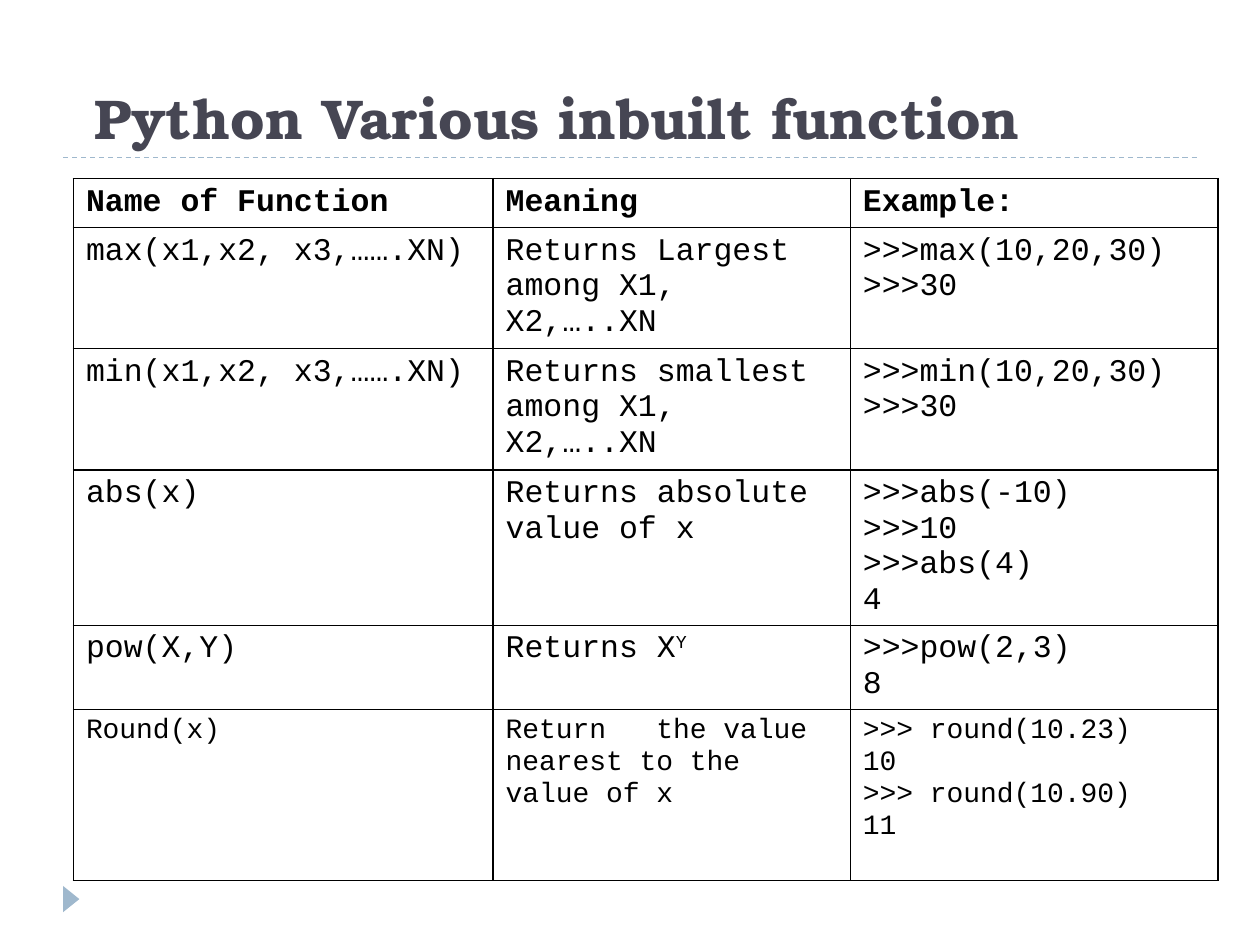
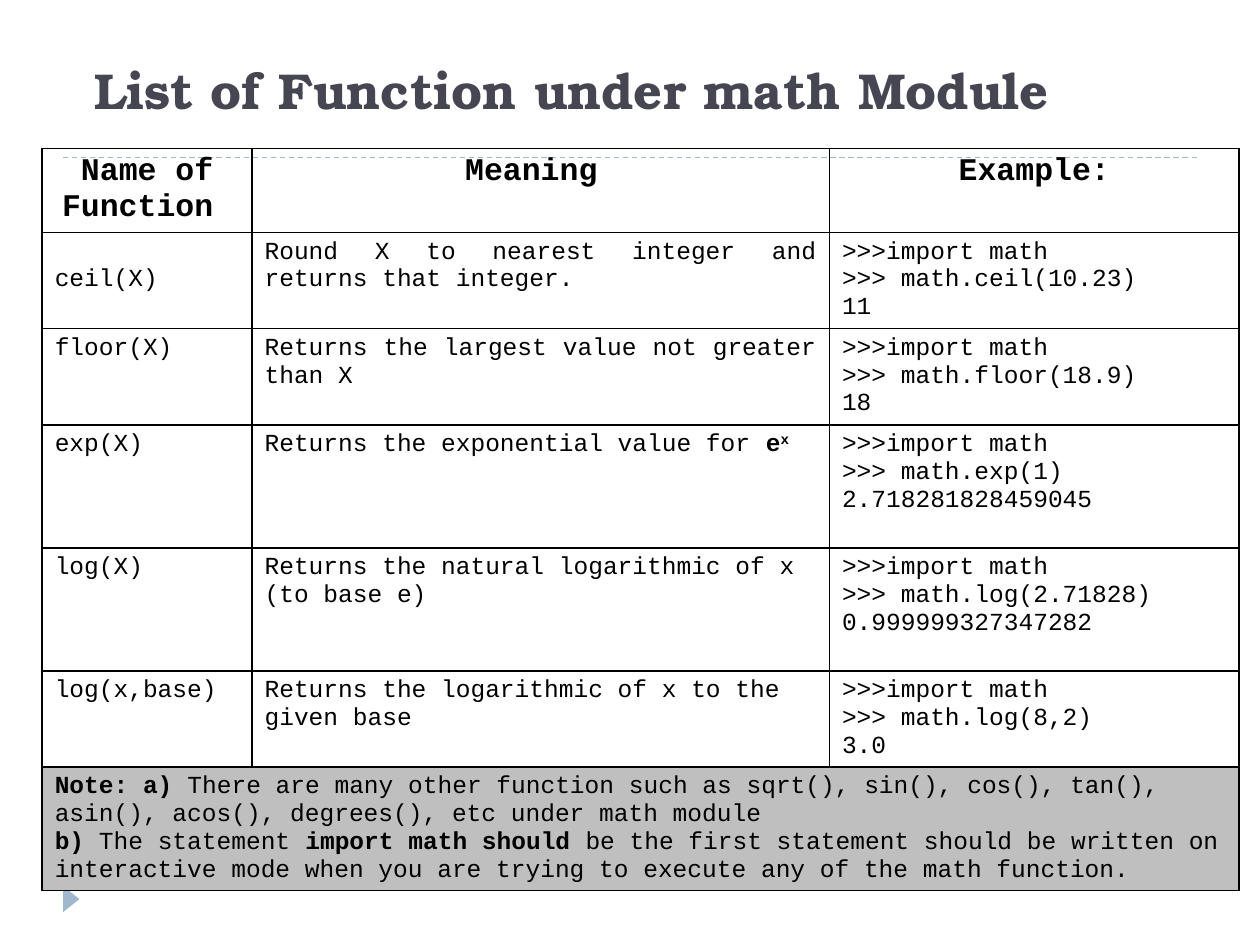
from lxml import etree
from pptx import Presentation
from pptx.dml.color import RGBColor
from pptx.enum.dml import MSO_LINE
from pptx.enum.shapes import MSO_CONNECTOR, MSO_SHAPE
from pptx.enum.text import MSO_ANCHOR, MSO_AUTO_SIZE, PP_ALIGN
from pptx.oxml.ns import qn
from pptx.util import Cm, Pt

STRAIGHT = MSO_CONNECTOR.STRAIGHT
TRIANGLE = MSO_SHAPE.ISOSCELES_TRIANGLE
DASH = MSO_LINE.DASH
BOTTOM = MSO_ANCHOR.BOTTOM
NO_AUTOFIT = MSO_AUTO_SIZE.NONE
LEFT, CENTER, JUSTIFY = PP_ALIGN.LEFT, PP_ALIGN.CENTER, PP_ALIGN.JUSTIFY

TITLE_FONT, TABLE_FONT = "TeX Gyre Bonum", "Courier New"
TITLE_COLOR, ACCENT = "464653", "9FB8CD"
BLACK, NOTE_GREY = "000000", "BFBFBF"


def rgb(value):
    return RGBColor.from_string(value)


def write_cell(cell, text, size, alignment):
    """One paragraph per line; *stars* enclose bold, ^ starts a superscript."""
    frame = cell.text_frame
    for number, line in enumerate(text.split("\n")):
        para = frame.add_paragraph() if number else frame.paragraphs[0]
        para.alignment = alignment
        for index, piece in enumerate(line.split("*")):
            for raised, words in enumerate(piece.split("^")):
                if not words:
                    continue
                span = para.add_run()
                span.text = words
                span.font.name = TABLE_FONT
                span.font.size = Pt(size)
                span.font.bold = index % 2 == 1
                span.font.color.rgb = rgb(BLACK)
                if raised:
                    span.font._element.set("baseline", "30000")


# Content: sizes, alignments and row heights are listed per table row
pages = [
    {
        "title": "Python Various inbuilt function",
        "title_size": 32,
        "title_place": (1.27, 0.43, 22.86, 2.74),
        "table_corner": (1.48, 3.6),
        "columns": [8.46, 7.2, 7.41],
        "heights": [0.99, 2.44, 2.44, 3.13, 1.69, 3.45],
        "sizes": [18, 18, 18, 18, 18, 16],
        "alignments": [LEFT] * 6,
        "rows": [
            ["*Name of Function*", "*Meaning*", "*Example:*"],
            ["max(x1,x2, x3,…….XN)", "Returns Largest among X1, X2,…..XN",
             ">>>max(10,20,30)\n>>>30"],
            ["min(x1,x2, x3,…….XN)", "Returns smallest among X1, X2,…..XN",
             ">>>min(10,20,30)\n>>>30"],
            ["abs(x)", "Returns absolute value of x",
             ">>>abs(-10)\n>>>10\n>>>abs(4)\n4"],
            ["pow(X,Y)", "Returns X^Y", ">>>pow(2,3)\n8"],
            ["Round(x)", "Return   the value nearest to the value of x",
             ">>> round(10.23)\n10\n>>> round(10.90)\n11"],
        ],
    },
    {
        "title": "List of Function under math Module",
        "title_size": 28.8,
        "title_place": (1.27, 0.08, 20.32, 2.46),
        "table_corner": (0.85, 2.99),
        "columns": [4.23, 11.64, 8.26],
        "heights": [1.69, 1.94, 1.94, 2.48, 2.48, 1.94, 2.48],
        "sizes": [18, 14, 14, 14, 14, 14, 14],
        "alignments": [CENTER, JUSTIFY, JUSTIFY, LEFT, LEFT, LEFT, LEFT],
        "rows": [
            ["*Name of Function *", "*Meaning *", "*Example:*"],
            ["ceil(X)", "Round X to nearest integer and returns that integer.",
             ">>>import math\n>>> math.ceil(10.23)\n11"],
            ["floor(X)", "Returns the largest value not greater than X",
             ">>>import math\n>>> math.floor(18.9)\n18"],
            ["exp(X)", "Returns the exponential value for *e^x*",
             ">>>import math\n>>> math.exp(1)\n2.718281828459045"],
            ["log(X)", "Returns the natural logarithmic of x (to base e)",
             ">>>import math\n>>> math.log(2.71828)\n0.999999327347282"],
            ["log(x,base)", "Returns the logarithmic of x to the given base",
             ">>>import math\n>>> math.log(8,2)\n3.0"],
            ["*Note: a) *There are many other function such as sqrt(), sin(), "
             "cos(), tan(), asin(), acos(), degrees(), etc under math module\n"
             "*b)* The statement *import math should *be the first statement "
             "should be written on interactive mode when you are trying to "
             "execute any of the math function."],
        ],
    },
]

deck = Presentation()
deck.slide_width, deck.slide_height = Cm(25.4), Cm(19.05)
tables = []

for content in pages:
    page = deck.slides.add_slide(deck.slide_layouts[5])

    # Dashed rule and corner triangle
    rule = page.shapes.add_connector(STRAIGHT, Cm(1.27), Cm(3.18), Cm(24.13), Cm(3.18))
    rule.line.color.rgb = rgb(ACCENT)
    rule.line.width = Pt(0.75)
    rule.line.dash_style = DASH
    etree.SubElement(rule._element.spPr, qn("a:effectLst"))
    marker = page.shapes.add_shape(TRIANGLE, Cm(1.17), Cm(17.96), Cm(0.53), Cm(0.33))
    marker.rotation = 90
    marker.shadow.inherit = False
    marker.fill.solid()
    marker.fill.fore_color.rgb = rgb(ACCENT)
    marker.line.fill.background()

    # Title
    title = page.shapes.title
    title.left, title.top, title.width, title.height = map(Cm, content["title_place"])
    frame = title.text_frame
    frame.text = content["title"]
    frame.auto_size = NO_AUTOFIT
    frame.word_wrap = True
    frame.vertical_anchor = BOTTOM
    frame.margin_left = Cm(0.63)
    para = frame.paragraphs[0]
    para.alignment = LEFT
    font = para.runs[0].font
    font.name, font.size, font.bold = TITLE_FONT, Pt(content["title_size"]), True
    font.color.rgb = rgb(TITLE_COLOR)

    # Function table
    rows, columns, heights = content["rows"], content["columns"], content["heights"]
    left, top = content["table_corner"]
    table = page.shapes.add_table(len(rows), len(columns), Cm(left), Cm(top),
                                  Cm(sum(columns)), Cm(sum(heights))).table
    table.first_row = table.horz_banding = False
    tables.append(table)
    for column, width in zip(table.columns, columns):
        column.width = Cm(width)
    for row, height in zip(table.rows, heights):
        row.height = Cm(height)

    # Black grid without fill
    for cell in table.iter_cells():
        properties = cell._tc.get_or_add_tcPr()
        for side in ("a:lnL", "a:lnR", "a:lnT", "a:lnB"):
            border = etree.SubElement(properties, qn(side), w=str(Pt(1)))
            paint = etree.SubElement(border, qn("a:solidFill"))
            etree.SubElement(paint, qn("a:srgbClr"), val=BLACK)
        cell.fill.background()

    # Cell text
    for row_index, texts in enumerate(rows):
        for column_index, text in enumerate(texts):
            write_cell(table.cell(row_index, column_index), text,
                       content["sizes"][row_index], content["alignments"][row_index])

# The ceil label sits one line lower; the note spans the whole last row
math_table = tables[1]
math_table.cell(1, 0).margin_top = Cm(0.69)
note = math_table.cell(6, 0)
note.merge(math_table.cell(6, 2))
note.fill.solid()
note.fill.fore_color.rgb = rgb(NOTE_GREY)

deck.save("out.pptx")
